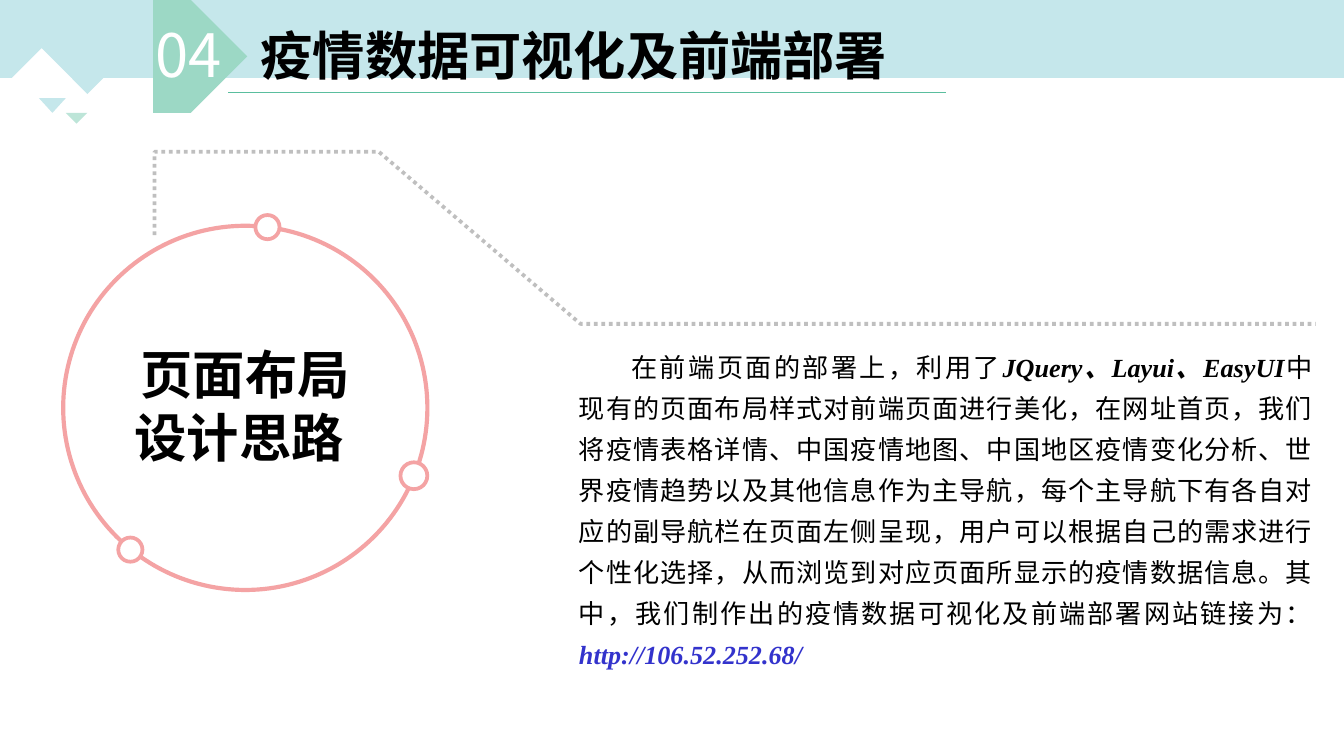
from pptx import Presentation
from pptx.dml.color import RGBColor
from pptx.enum.dml import MSO_LINE
from pptx.enum.shapes import MSO_CONNECTOR, MSO_SHAPE
from pptx.enum.text import MSO_ANCHOR, MSO_AUTO_SIZE, PP_ALIGN
from pptx.oxml.ns import qn
from pptx.util import Inches, Pt

RECT, OVAL, TAG = MSO_SHAPE.RECTANGLE, MSO_SHAPE.OVAL, MSO_SHAPE.PENTAGON
LEFT, MID, JUST = PP_ALIGN.LEFT, PP_ALIGN.CENTER, PP_ALIGN.JUSTIFY
SANS, SERIF = "Noto Sans CJK SC", "Times New Roman"
SKY, MINT, PINK, WHITE, BLACK = "C5E7EB", "9CD8C5", "F4A3A4", "FFFFFF", "000000"

prs = Presentation()
prs.slide_width = Inches(10)
prs.slide_height = prs.slide_width * 9 // 16
COL = prs.slide_width / 10  # ten square columns across the slide
FINE = COL / 100  # outlines are drawn on whole hundredths of a column
slide = prs.slides.add_slide(prs.slide_layouts[5])
shapes = slide.shapes


def paint(shape, fill=None, line=None, width=1):
    shape.shadow.inherit = False
    for part, color in ((shape.fill, fill), (shape.line.fill, line)):
        if color:
            part.solid()
            part.fore_color.rgb = RGBColor.from_string(color)
        else:
            part.background()
    if line:
        shape.line.width = Pt(width)


def write(box, place, rows, align, wrap=True):
    """Fill a text shape; each row is a list of (text, font, size, color, format, spacing)."""
    box.left, box.top, box.width, box.height = [int(v * COL) for v in place]
    frame = box.text_frame
    frame.word_wrap, frame.auto_size = wrap, MSO_AUTO_SIZE.NONE
    frame.vertical_anchor = MSO_ANCHOR.TOP
    for i, row in enumerate(rows):
        para = frame.add_paragraph() if i else frame.paragraphs[0]
        para.alignment = align
        for text, face, size, color, looks, gap in row:
            run = para.add_run()
            run.text = text
            for key, value in {"name": face, "size": Pt(size), **looks}.items():
                setattr(run.font, key, value)
            run.font.color.rgb = RGBColor.from_string(color)
            props = run.font._element
            props.append(props.makeelement(qn("a:ea"), {"typeface": SANS}))
            if gap:
                props.set("spc", str(gap))
    return frame


# Top band
band = shapes.add_shape(RECT, 0, 0, prs.slide_width, int(0.58 * COL))
paint(band, SKY)

# Small triangles: centre, base, half width, height (negative points up)
for mid, base, half, high, color in (
    (65, 53, 17, 17, SKY),
    (57, 84, 8, 8, "BDE5D8"),
    (31, 59, 23, -23, WHITE),
    (39, 73, 10, 11, SKY),
):
    path = shapes.build_freeform(mid - half, base, scale=FINE)
    path.add_line_segments([(mid + half, base), (mid, base + high)], close=True)
    paint(path.convert_to_shape(), color)

# Ring with three beads
for x, y, size, fill, width in (
    (0.47, 1.68, 2.71, None, 2.25),
    (2.98, 3.44, 0.2, WHITE, 2),
    (1.9, 1.6, 0.18, WHITE, 2),
    (0.88, 4, 0.18, WHITE, 2),
):
    ring = shapes.add_shape(OVAL, *[int(v * COL) for v in (x, y, size, size)])
    paint(ring, fill, PINK, width)

# Dotted guide
path = shapes.build_freeform(115, 175, scale=FINE)
path.add_line_segments([(115, 113), (282, 113), (432, 241), (979, 241)], close=False)
guide = path.convert_to_shape()
paint(guide, None, "BFBFBF", 2)
guide.line.dash_style = MSO_LINE.ROUND_DOT

# Body text
bold, slant = {"bold": True}, {"bold": True, "italic": True}
body = (
    "中现有的页面布局样式对前端页面进行美化，在网址首页，我们将疫情表格详情、"
    "中国疫情地图、中国地区疫情变化分析、世界疫情趋势以及其他信息作为主导航，"
    "每个主导航下有各自对应的副导航栏在页面左侧呈现，用户可以根据自己的需求进行"
    "个性化选择，从而浏览到对应页面所显示的疫情数据信息。其中，我们制作出的"
    "疫情数据可视化及前端部署网站链接为："
)
frame = write(shapes.add_textbox(0, 0, 0, 0), (4.21, 2.49, 5.66, 2.26), [[
    ("在前端页面的部署上，利用了", SANS, 14, BLACK, {}, 50),
    ("JQuery、Layui、EasyUI", SERIF, 14, BLACK, slant, 0),
    (body, SANS, 14, BLACK, {}, 50),
    ("http://106.52.252.68/", SERIF, 14, "3333CC", slant, 0),
]], JUST)
para = frame.paragraphs[0]
para.line_spacing = Pt(22)
para._p.get_or_add_pPr().set("indent", str(int(0.39 * COL)))

# Ring label
write(shapes.add_textbox(0, 0, 0, 0), (0.3, 2.5, 2.96, 1.04), [
    [(" 页面布局", SANS, 28, BLACK, bold, 0)],
    [("设计思路", SANS, 28, BLACK, bold, 0)],
], MID)

# Title, brought in front of the band
title = shapes.title
write(title, (1.84, 0.12, 6.87, 0.57),
      [[("疫情数据可视化及前端部署", SANS, 28, BLACK, bold, 0)]], LEFT)
shapes._spTree.append(title._element)

# Section tag and number
tag = shapes.add_shape(TAG, *[int(v * COL) for v in (1.14, 0, 0.7, 0.84)])
tag.adjustments[0] = 0.6
paint(tag, MINT)
write(shapes.add_textbox(0, 0, 0, 0), (1.06, 0.08, 0.73, 0.64),
      [[("04", SANS, 32, WHITE, {}, 0)]], LEFT, False)

# Rule under the title
rule = shapes.add_connector(MSO_CONNECTOR.STRAIGHT,
                            *[int(v * COL) for v in (1.7, 0.69, 7.04, 0.69)])
rule.line.color.rgb = RGBColor.from_string("5ABE9E")
rule.line.width = Pt(0.75)
props = rule._element.spPr
props.append(props.makeelement(qn("a:effectLst"), {}))

prs.save("out.pptx")
